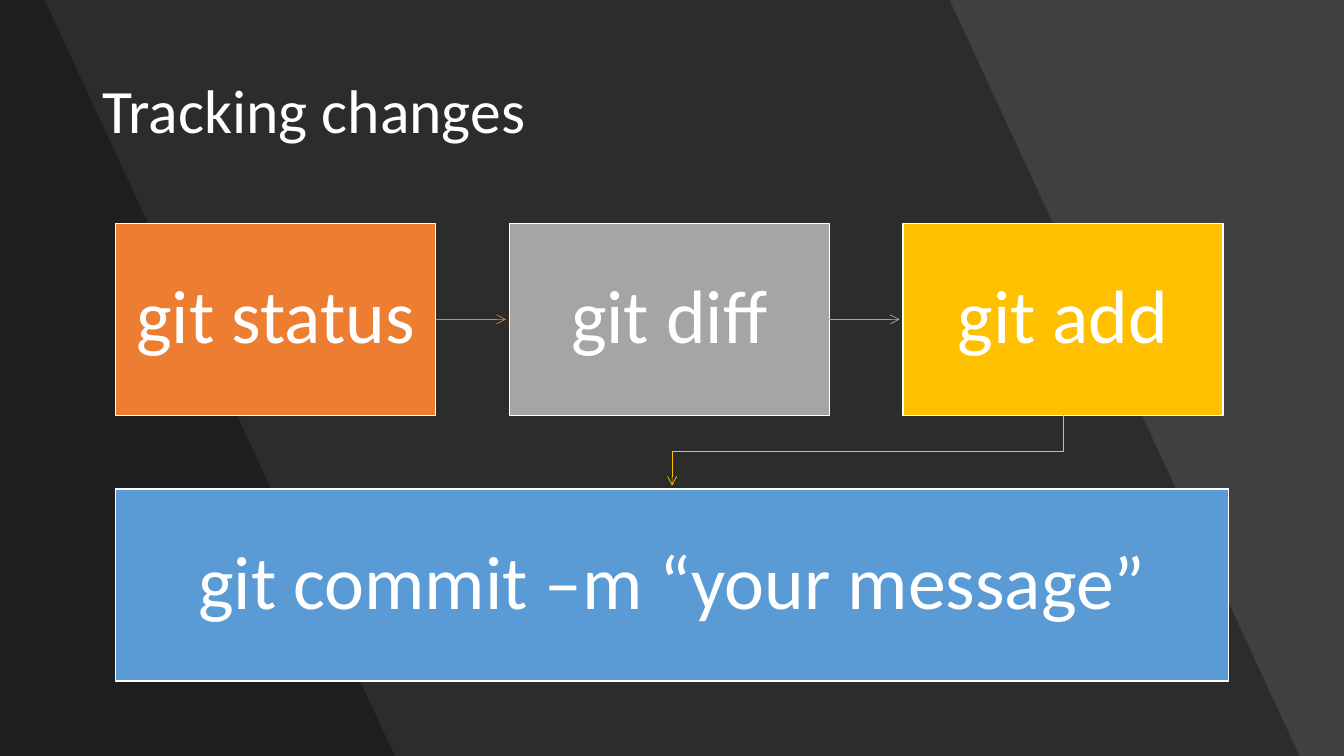
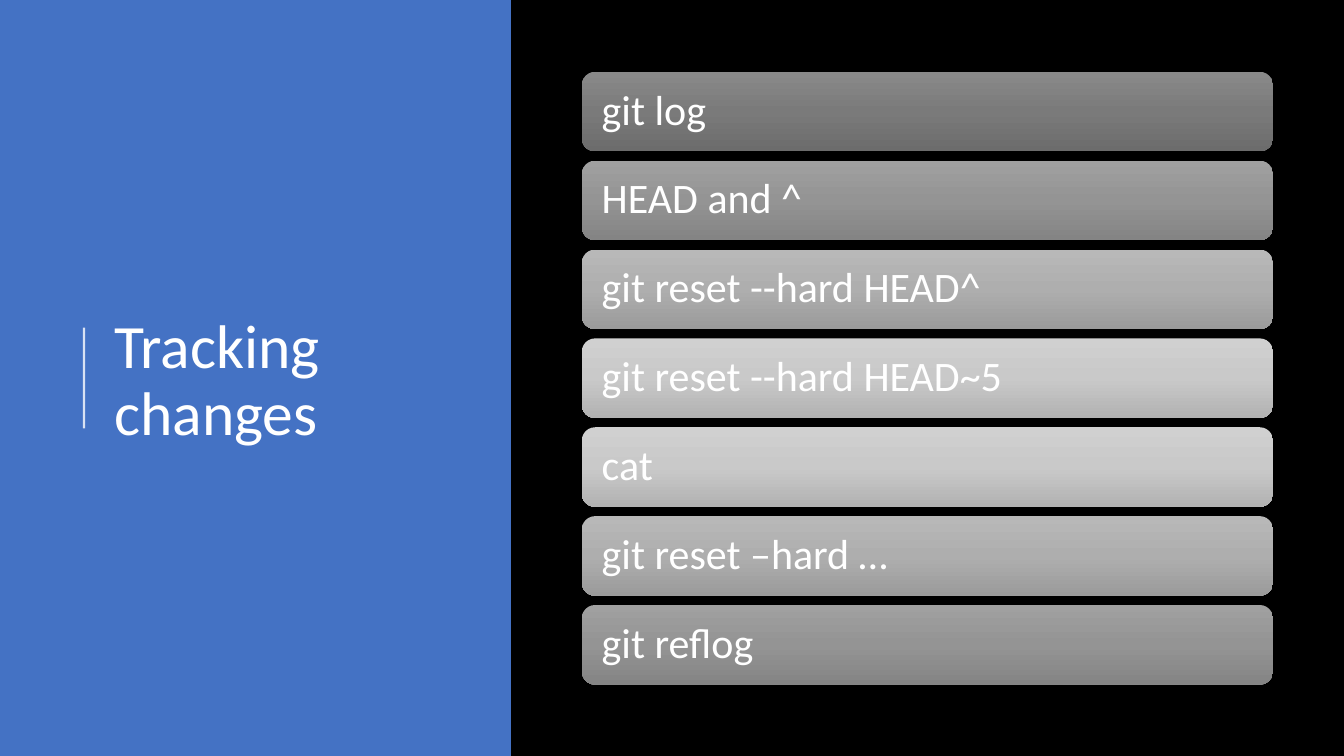
"""Build two slides on tracking changes with git."""
from dataclasses import dataclass
from lxml.etree import SubElement
from pptx import Presentation
from pptx.dml.color import RGBColor
from pptx.enum.shapes import MSO_CONNECTOR, MSO_SHAPE
from pptx.enum.text import MSO_ANCHOR, MSO_AUTO_SIZE, PP_ALIGN
from pptx.oxml import parse_xml
from pptx.oxml.ns import nsdecls, qn
from pptx.util import Pt

TITLE = "Tracking changes"
STEPS = [("git status", "ED7D31"), ("git diff", "A5A5A5"), ("git add", "FFC000")]
COMMIT = ("git commit –m “your message”", "5B9BD5")
CARDS = ["git log", "HEAD and ^", "git reset --hard HEAD^",
         "git reset --hard HEAD~5", "cat", "git reset –hard …", "git reflog"]
SHADES = [("898989", "7A7A7A", "6C6C6C"), ("A0A0A0", "949494", "848484"),
          ("B8B8B8", "AEAEAE", "9B9B9B"), ("D0D0D0", "C9C9C9", "B2B2B2")]
RAMP = SHADES + SHADES[:0:-1]


@dataclass(frozen=True)
class Theme:
    font: str = "Calibri"
    text: str = "FFFFFF"
    dark: str = "000000"
    slate: str = "404040"
    panel: str = "4472C4"
    head: int = 44
    step: int = 54
    card: int = 30
    inset: float = 11.5
    lead: float = 0.9


LOOK = Theme()
WIDE, HIGH = 960, 540


def rgb(code):
    return RGBColor.from_string(code)


def fade(shape, share):
    tone = shape.element.xpath(".//a:srgbClr")[0]
    SubElement(tone, qn("a:alpha")).set("val", str(share * 1000))


def write(shape, words, size, align=PP_ALIGN.LEFT, inset=None):
    frame = shape.text_frame
    frame.text = words
    frame.word_wrap = True
    frame.auto_size = MSO_AUTO_SIZE.NONE
    frame.vertical_anchor = MSO_ANCHOR.MIDDLE
    if inset is not None:
        frame.margin_left = frame.margin_right = Pt(inset)
        frame.margin_top = frame.margin_bottom = Pt(inset)
    para = frame.paragraphs[0]
    para.alignment = align
    para.line_spacing = LOOK.lead
    font = para.runs[0].font
    font.name, font.size = LOOK.font, Pt(size)
    font.color.rgb = rgb(LOOK.text)


def start(deck, back):
    slide = deck.slides.add_slide(deck.slide_layouts[5])
    slide.background.fill.solid()
    slide.background.fill.fore_color.rgb = rgb(back)
    return slide


def head(slide, *area):
    title = slide.shapes.title
    title.left, title.top, title.width, title.height = map(Pt, area)
    write(title, TITLE, LOOK.head)
    title.element.getparent().append(title.element)


def block(slide, kind, area, color=None, edge=None):
    shape = slide.shapes.add_shape(kind, *map(Pt, area))
    shape.shadow.inherit = False
    if color:
        shape.fill.solid()
        shape.fill.fore_color.rgb = rgb(color)
    if edge:
        shape.line.color.rgb = rgb(edge)
        shape.line.width = Pt(1)
    else:
        shape.line.fill.background()
    return shape


def trace(slide, points, close):
    dots = [(Pt(x), Pt(y)) for x, y in points]
    pen = slide.shapes.build_freeform(*dots[0])
    pen.add_line_segments(dots[1:], close=close)
    shape = pen.convert_to_shape()
    shape.shadow.inherit = False
    return shape


def band(slide, top, foot):
    shape = trace(slide, [(0, 0), (top, 0), (foot, HIGH), (0, HIGH)], True)
    shape.fill.solid()
    shape.fill.fore_color.rgb = rgb(LOOK.dark)
    shape.line.fill.background()
    fade(shape, 30)


def rule(slide, a, b, color, width):
    line = slide.shapes.add_connector(MSO_CONNECTOR.STRAIGHT, *map(Pt, a + b))
    line.line.color.rgb = rgb(color)
    line.line.width = Pt(width)
    SubElement(line.element.spPr, qn("a:effectLst"))
    return line


def arrow(shape):
    SubElement(shape.get_or_add_ln(), qn("a:tailEnd")).set("type", "arrow")


def blend(shape, tones):
    stops = "".join(f'<a:gs pos="{50000 * i}"><a:srgbClr val="{tone}"/></a:gs>'
                    for i, tone in enumerate(tones))
    grad = parse_xml(f'<a:gradFill {nsdecls("a")} rotWithShape="1"><a:gsLst>{stops}'
                     '</a:gsLst><a:lin ang="5400000" scaled="0"/></a:gradFill>')
    shape.element.spPr.find(qn("a:prstGeom")).addnext(grad)


def flow(deck):
    slide = start(deck, LOOK.slate)
    band(slide, 678.3, 928.3)
    band(slide, 31.9, 282)
    head(slide, 66, 28.75, 828, 104.4)
    left, top, wide, high, gap, short = 82.6, 159.6, 228.6, 137.1, 52.6, 2.4
    mid, base = top + high / 2, top + high
    row, span = base + gap, 795
    for i, (words, color) in enumerate(STEPS):
        x = left + i * (wide + gap)
        box = block(slide, MSO_SHAPE.RECTANGLE, (x, top, wide, high), color, LOOK.text)
        write(box, words, LOOK.step, PP_ALIGN.CENTER, LOOK.inset)
        if i < len(STEPS) - 1:
            arrow(rule(slide, (x + wide, mid), (x + wide + gap - short, mid), color, 0.5))
    drop, aim, turn = x + wide / 2, left + span / 2, base + gap / 2 - 0.5
    elbow = trace(slide, [(drop, base), (drop, turn), (aim, turn), (aim, row - short)], False)
    elbow.fill.background()
    elbow.line.color.rgb = rgb(color)
    elbow.line.width = Pt(0.5)
    arrow(elbow)
    words, color = COMMIT
    box = block(slide, MSO_SHAPE.RECTANGLE, (left, row, span, high), color, LOOK.text)
    write(box, words, LOOK.step, PP_ALIGN.CENTER, LOOK.inset)


def stack(deck):
    slide = start(deck, LOOK.dark)
    block(slide, MSO_SHAPE.RECTANGLE, (0, 0, 365, HIGH), LOOK.panel)
    fade(rule(slide, (60, 306), (60, 234), LOOK.text, 1.5), 80)
    head(slide, 74.4, 56.4, 265.6, 433.2)
    left, top, wide, high, step = 415.6, 51.3, 493.8, 56.8, 63.48
    for i, (words, tones) in enumerate(zip(CARDS, RAMP)):
        card = block(slide, MSO_SHAPE.ROUNDED_RECTANGLE, (left, top + i * step, wide, high))
        blend(card, tones)
        write(card, words, LOOK.card, inset=LOOK.inset)


def main():
    deck = Presentation()
    deck.slide_width, deck.slide_height = Pt(WIDE), Pt(HIGH)
    flow(deck)
    stack(deck)
    deck.save("out.pptx")


main()
